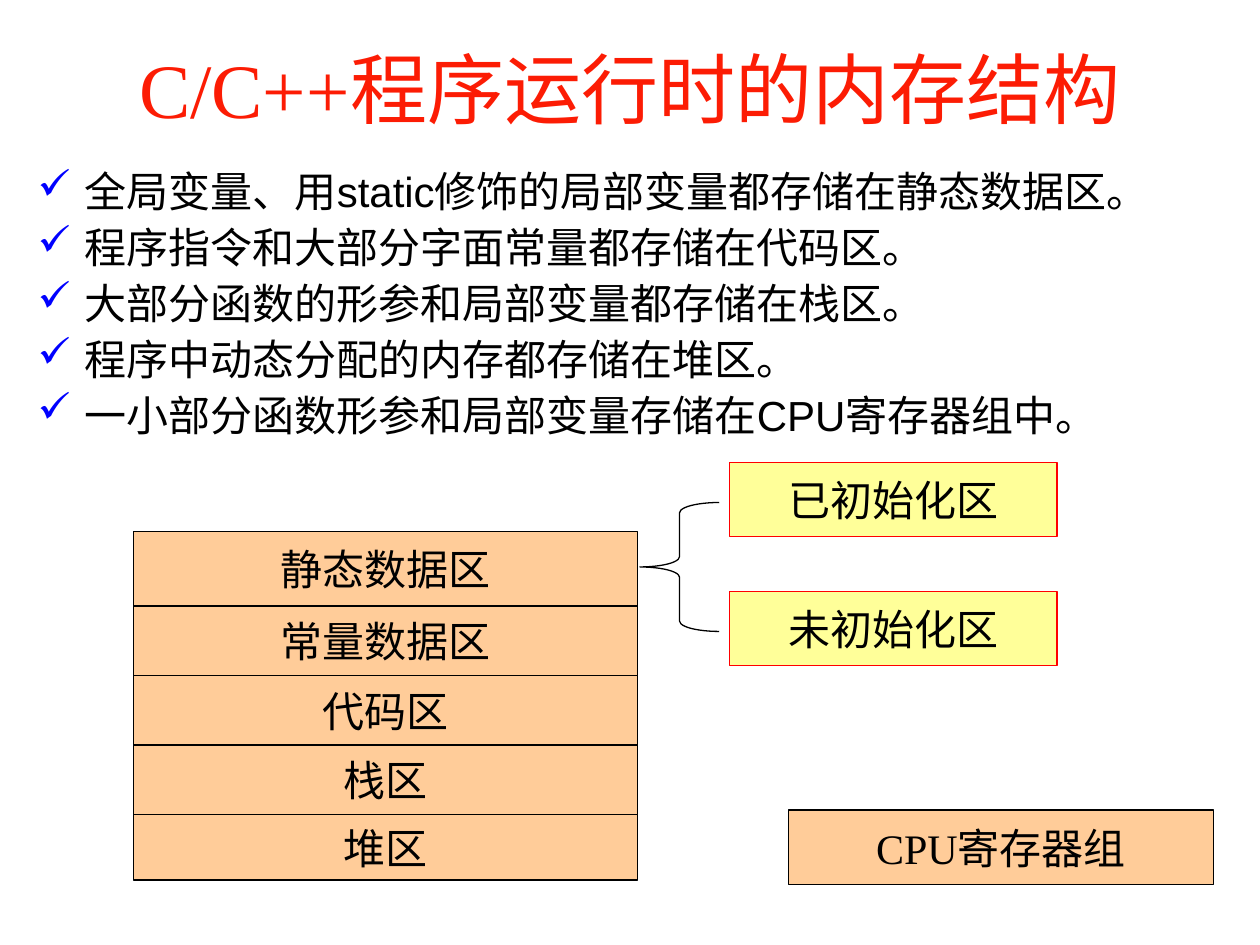
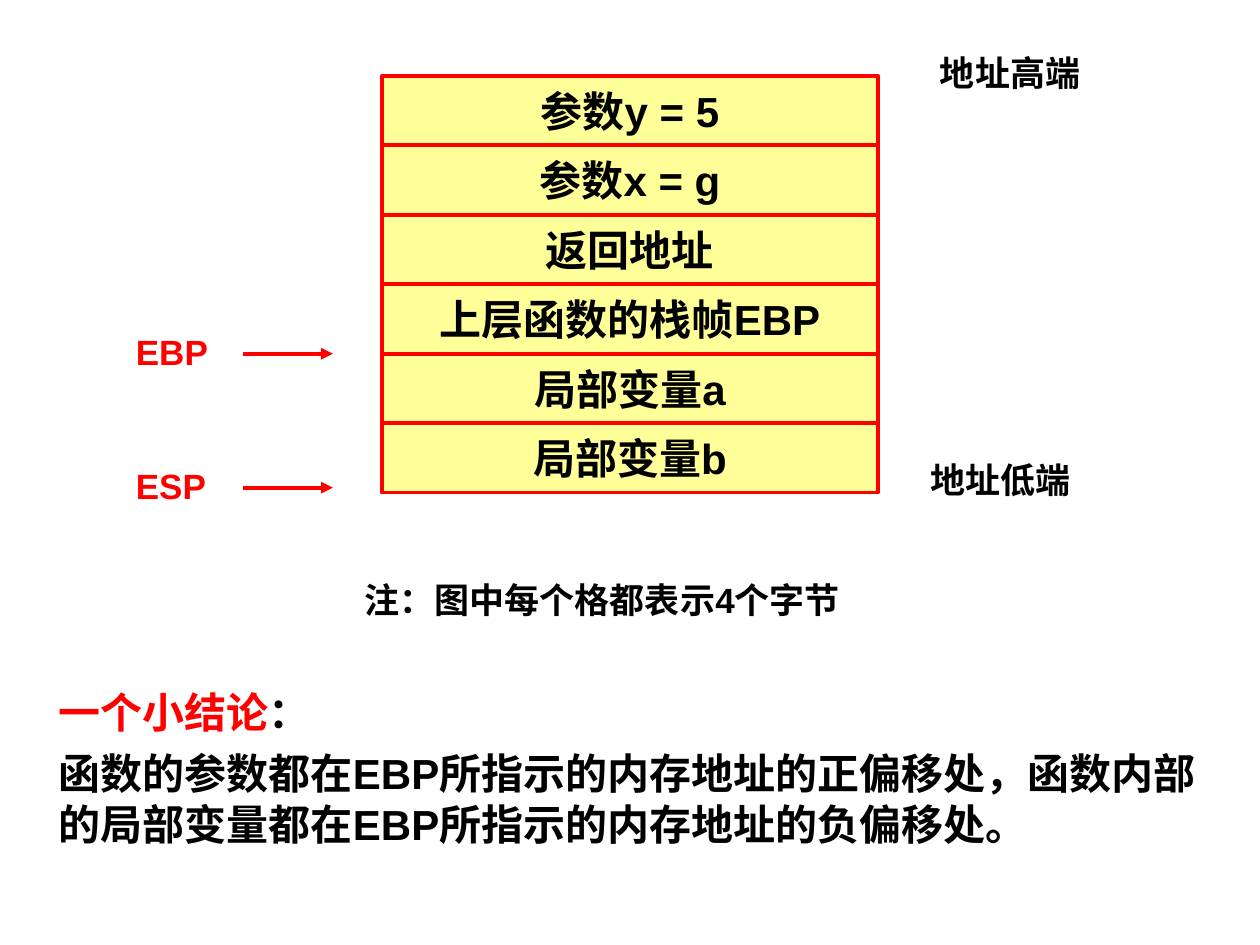
from lxml import etree
from pptx import Presentation
from pptx.dml.color import RGBColor
from pptx.enum.lang import MSO_LANGUAGE_ID
from pptx.enum.shapes import MSO_CONNECTOR, MSO_SHAPE
from pptx.enum.text import MSO_ANCHOR, PP_ALIGN
from pptx.oxml.ns import qn
from pptx.util import Cm, Pt

RECT, BRACE = MSO_SHAPE.RECTANGLE, MSO_SHAPE.LEFT_BRACE
STRAIGHT = MSO_CONNECTOR.STRAIGHT
LEFT, CENTER = PP_ALIGN.LEFT, PP_ALIGN.CENTER
TOP, MIDDLE = MSO_ANCHOR.TOP, MSO_ANCHOR.MIDDLE
CHINESE = MSO_LANGUAGE_ID.SIMPLIFIED_CHINESE


class Theme:
    black = RGBColor(0x00, 0x00, 0x00)
    red = RGBColor(0xFF, 0x00, 0x00)
    title_red = RGBColor(0xFC, 0x1C, 0x04)
    orange = RGBColor(0xFF, 0xCC, 0x99)
    yellow = RGBColor(0xFF, 0xFF, 0x99)
    check_blue = "0000FF"
    sans, serif = "Arial", "Times New Roman"
    title, body, label = Pt(44), Pt(24), Pt(20)
    thin, thick = Pt(0.75), Pt(2.25)


def add_text(s, at, paragraphs, size=Theme.body, font=Theme.sans, color=Theme.black,
             bold=False, align=LEFT, anchor=TOP, wrap=True, fill=None, line=None,
             weight=Theme.thin, before=0, spacing=None, check=False):
    """Add a text box, or a rectangle if fill is given.

    A paragraph is a string or a list of (text, font, colour) runs.
    """
    place = [Cm(v) for v in at]
    if fill is None:
        sp = s.shapes.add_textbox(*place)
    else:
        sp = s.shapes.add_shape(RECT, *place)
        sp.shadow.inherit = False
        sp.fill.solid()
        sp.fill.fore_color.rgb = fill
        sp.line.color.rgb = line
        sp.line.width = weight
    tf = sp.text_frame
    tf.word_wrap = wrap
    tf.vertical_anchor = anchor
    for i, content in enumerate(paragraphs):
        p = tf.add_paragraph() if i else tf.paragraphs[0]
        p.alignment = align
        p.space_before = Pt(before)
        if spacing:
            p.line_spacing = spacing
        if check:
            pPr = p._p.get_or_add_pPr()
            pPr.set("marL", str(Cm(0.95)))
            pPr.set("indent", str(-Cm(0.95)))
            clr = etree.SubElement(pPr, qn("a:buClr"))
            etree.SubElement(clr, qn("a:srgbClr"), val=Theme.check_blue)
            etree.SubElement(pPr, qn("a:buChar"), char="✓")
        runs = [(content, font, color)] if isinstance(content, str) else content
        for text, face, tint in runs:
            r = p.add_run()
            r.text = text
            r.font.name, r.font.size, r.font.bold = face, size, bold
            r.font.color.rgb = tint
            r.font.language_id = CHINESE


prs = Presentation()
prs.slide_width, prs.slide_height = Cm(25.4), Cm(19.05)
blank = prs.slide_layouts[6]
cell = dict(align=CENTER, anchor=MIDDLE, wrap=False)

# Slide 1: memory layout of a running program
s = prs.slides.add_slide(blank)
add_text(s, (1.9, 0.71, 21.6, 2.11),
         [[("C/C++", Theme.serif, Theme.title_red),
           ("程序运行时的内存结构", Theme.sans, Theme.title_red)]],
         size=Theme.title, align=CENTER, anchor=MIDDLE)
add_text(s, (0.51, 3.33, 24.46, 6.2),
         ["全局变量、用static修饰的局部变量都存储在静态数据区。",
          "程序指令和大部分字面常量都存储在代码区。",
          "大部分函数的形参和局部变量都存储在栈区。",
          "程序中动态分配的内存都存储在堆区。",
          "一小部分函数形参和局部变量存储在CPU寄存器组中。"],
         before=6, spacing=0.9, check=True)

# Stacked memory areas and the registers beside them
area = dict(cell, font=Theme.serif, fill=Theme.orange, line=Theme.black)
top = 10.72
for name, height in [("静态数据区", 1.5), ("常量数据区", 1.4), ("代码区", 1.4),
                     ("栈区", 1.4), ("堆区", 1.32)]:
    add_text(s, (2.69, top, 10.16, height), [name], **area)
    top += height
add_text(s, (15.9, 16.33, 8.56, 1.5), ["CPU寄存器组"], **area)

# Brace that splits the static area in two
brace = s.shapes.add_shape(BRACE, Cm(12.9), Cm(10.13), Cm(1.6), Cm(2.6))
brace.shadow.inherit = False
brace.adjustments[0] = 0.13
brace.fill.background()
brace.line.color.rgb = Theme.black
brace.line.width = Theme.thin
for i, name in enumerate(["已初始化区", "未初始化区"]):
    add_text(s, (14.71, 9.32 + 2.6 * i, 6.6, 1.5), [name], font=Theme.serif,
             fill=Theme.yellow, line=Theme.red, **cell)

# Slide 2: stack frame
s = prs.slides.add_slide(blank)
frame = ["参数y = 5", "参数x = g", "返回地址", "上层函数的栈帧EBP", "局部变量a", "局部变量b"]
for i, name in enumerate(frame):
    add_text(s, (7.7, 1.53 + 1.4 * i, 10, 1.4), [name], bold=True,
             fill=Theme.yellow, line=Theme.red, weight=Theme.thick, **cell)

# Register pointers
for name, y in [("EBP", 7.13), ("ESP", 9.83)]:
    arrow = s.shapes.add_connector(STRAIGHT, Cm(4.9), Cm(y), Cm(6.71), Cm(y))
    arrow.line.color.rgb = Theme.red
    arrow.line.width = Theme.thick
    etree.SubElement(arrow.line._get_or_add_ln(), qn("a:tailEnd"), type="triangle")
    etree.SubElement(arrow._element.spPr, qn("a:effectLst"))
    add_text(s, (2.49, y - 0.6, 2, 1.1), [name], size=Theme.label,
             color=Theme.red, bold=True)

# Address labels and note
for text, x, y, width in [("地址高端", 18.7, 0.91, 3.81),
                          ("地址低端", 18.5, 9.12, 3.81),
                          ("注：图中每个格都表示4个字节", 7.1, 11.53, 13.41)]:
    add_text(s, (x, y, width, 1.1), [text], size=Theme.label, bold=True)

# Conclusion
add_text(s, (0.94, 13.72, 23.57, 4.8),
         [[("一个小结论", Theme.sans, Theme.red), ("：", Theme.sans, Theme.black)],
          "函数的参数都在EBP所指示的内存地址的正偏移处，"
          "函数内部的局部变量都在EBP所指示的内存地址的负偏移处。"],
         bold=True, before=6)

prs.save("out.pptx")
